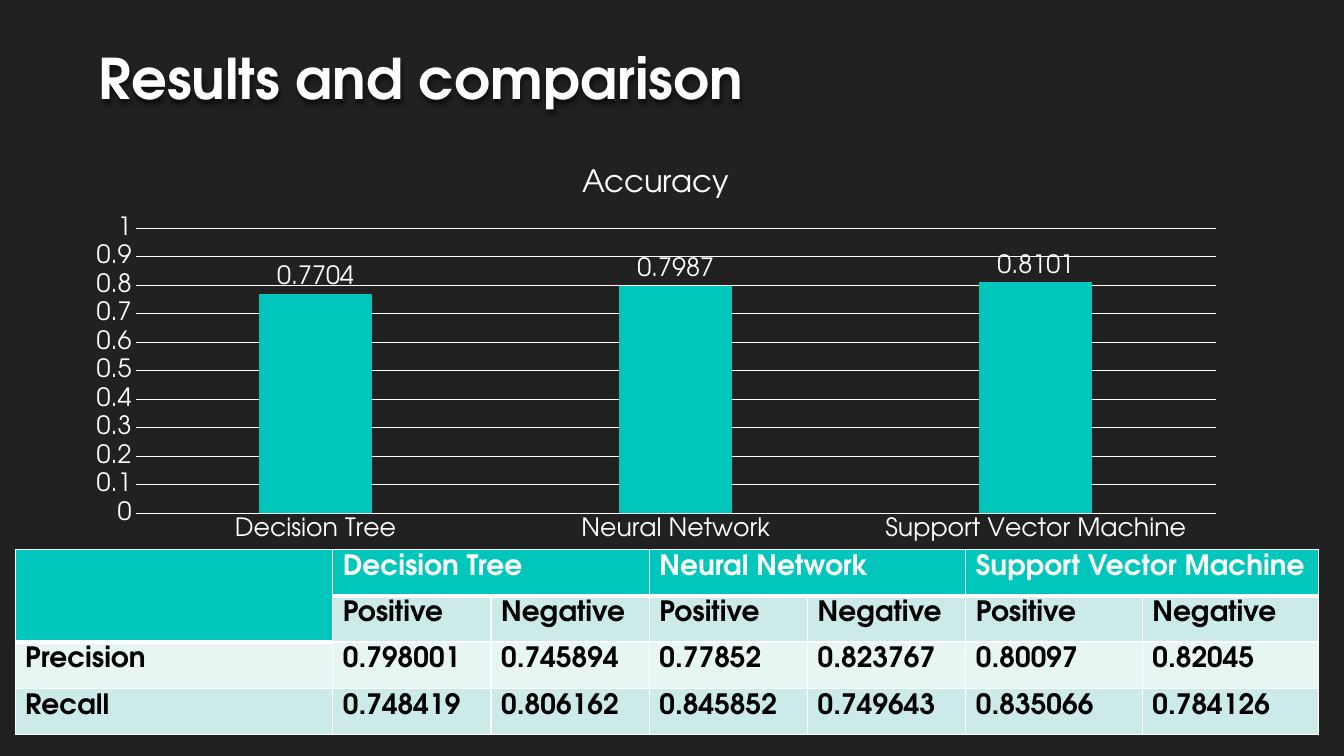
"""Build the results slide: a title, an accuracy chart and a score table."""
from dataclasses import dataclass
from lxml.etree import SubElement
from pptx import Presentation
from pptx.chart.data import CategoryChartData
from pptx.dml.color import RGBColor
from pptx.enum.chart import XL_CHART_TYPE, XL_LABEL_POSITION, XL_TICK_MARK
from pptx.enum.text import MSO_ANCHOR, PP_ALIGN
from pptx.oxml import parse_xml
from pptx.oxml.ns import nsdecls, qn
from pptx.util import Inches, Pt


@dataclass(frozen=True)
class Theme:
    face: str = "TeX Gyre Adventor"
    back: str = "212121"
    title: str = "FEFEFE"
    white: str = "FFFFFF"
    black: str = "000000"
    teal: str = "00C6BB"
    mint: str = "CCEAE7"
    pale: str = "E7F5F3"
    big: int = 40
    head: int = 22
    cell: int = 20
    label: int = 18


def paint(fill, color):
    fill.solid()
    fill.fore_color.rgb = RGBColor.from_string(color)


def style(font, size, color, bold=False):
    font.name, font.size, font.bold = theme.face, Pt(size), bold
    font.color.rgb = RGBColor.from_string(color)


theme = Theme()
deck = Presentation()
deck.slide_width, deck.slide_height = Inches(13.33), Inches(7.5)
slide = deck.slides.add_slide(deck.slide_layouts[5])
paint(slide.background.fill, theme.back)

title = slide.shapes.title
title.left, title.top = Inches(0.88), Inches(0.09)
title.width, title.height = Inches(11.56), Inches(1.06)
title.text = "Results and comparison"
title.text_frame.vertical_anchor = MSO_ANCHOR.BOTTOM
line = title.text_frame.paragraphs[0]
line.alignment = PP_ALIGN.LEFT
style(line.font, theme.big, theme.title, True)
title.fill.background()
title.element.spPr.append(parse_xml(
    f'<a:effectLst {nsdecls("a")}><a:outerShdw blurRad="50800" dist="25400" '
    'dir="5400000"><a:srgbClr val="000000"><a:alpha val="60000"/></a:srgbClr>'
    '</a:outerShdw></a:effectLst>'))

models = ["Decision Tree", "Neural Network", "Support Vector Machine"]
data = CategoryChartData(number_format="General")
data.categories = models
data.add_series("Series 1", [0.7704, 0.7987, 0.8101])
chart = slide.shapes.add_chart(
    XL_CHART_TYPE.COLUMN_CLUSTERED, Inches(0.72), Inches(1.47),
    Inches(11.56), Inches(3.98), data).chart
style(chart.font, theme.label, theme.white)
chart.has_legend = False
chart.has_title = True
chart.chart_title.include_in_layout = False
chart.chart_title.text_frame.text = "Accuracy"
style(chart.chart_title.text_frame.paragraphs[0].font, theme.head, theme.white)

names, values = chart.category_axis, chart.value_axis
values.minimum_scale, values.maximum_scale, values.major_unit = 0, 1, 0.1
for axis in (names, values):
    axis.major_tick_mark = axis.minor_tick_mark = XL_TICK_MARK.NONE
    style(axis.tick_labels.font, theme.label, theme.white)
values.format.line.fill.background()
for rule in (names.format.line, values.major_gridlines.format.line):
    paint(rule.fill, theme.white)
    rule.width = Pt(0.75)

plot = chart.plots[0]
plot.gap_width, plot.overlap, plot.vary_by_categories = 219, -27, False
paint(plot.series[0].format.fill, theme.teal)
plot.has_data_labels = True
labels = plot.data_labels
labels.show_value = True
labels.position = XL_LABEL_POSITION.OUTSIDE_END
style(labels.font, theme.label, theme.white)

area = chart.element.chart.plotArea
for old in area.findall(qn("c:layout")):
    area.remove(old)
area.insert(0, parse_xml(
    f'<c:layout {nsdecls("c")}><c:manualLayout><c:layoutTarget val="inner"/>'
    '<c:xMode val="edge"/><c:yMode val="edge"/><c:x val="0.054"/>'
    '<c:y val="0.2"/><c:w val="0.927"/><c:h val="0.71"/>'
    '</c:manualLayout></c:layout>'))

heads = [""]
for model in models:
    heads += [model, ""]
rows = [
    heads,
    [""] + ["Positive", "Negative"] * len(models),
    ["Precision", "0.798001", "0.745894", "0.77852", "0.823767", "0.80097", "0.82045"],
    ["Recall", "0.748419", "0.806162", "0.845852", "0.749643", "0.835066", "0.784126"],
]
fills = [theme.teal, theme.mint, theme.pale, theme.mint]
widths = [3.15] + [1.57] * 4 + [1.75] * 2
table = slide.shapes.add_table(
    len(rows), len(widths), Inches(0.15), Inches(5.45),
    Inches(sum(widths)), Inches(0.46 * len(rows))).table
for col, width in zip(table.columns, widths):
    col.width = Inches(width)

for r, row in enumerate(rows):
    table.rows[r].height = Inches(0.46)
    for c, text in enumerate(row):
        cell = table.cell(r, c)
        cell.text = text
        ink = theme.black if r else theme.white
        style(cell.text_frame.paragraphs[0].font, theme.cell, ink, True)
        props = cell._tc.get_or_add_tcPr()
        for side in "LRTB":
            thick = (side == "B" and r == 0) or (side == "T" and r == 1 and c > 0)
            edge = SubElement(props, qn(f"a:ln{side}"), w=str(Pt(3 if thick else 1)))
            solid = SubElement(edge, qn("a:solidFill"))
            SubElement(solid, qn("a:srgbClr"), val=theme.white)
        paint(cell.fill, theme.teal if r < 2 and c == 0 else fills[r])

table.cell(0, 0).merge(table.cell(1, 0))
for c in range(1, len(widths), 2):
    table.cell(0, c).merge(table.cell(0, c + 1))

deck.save("out.pptx")
